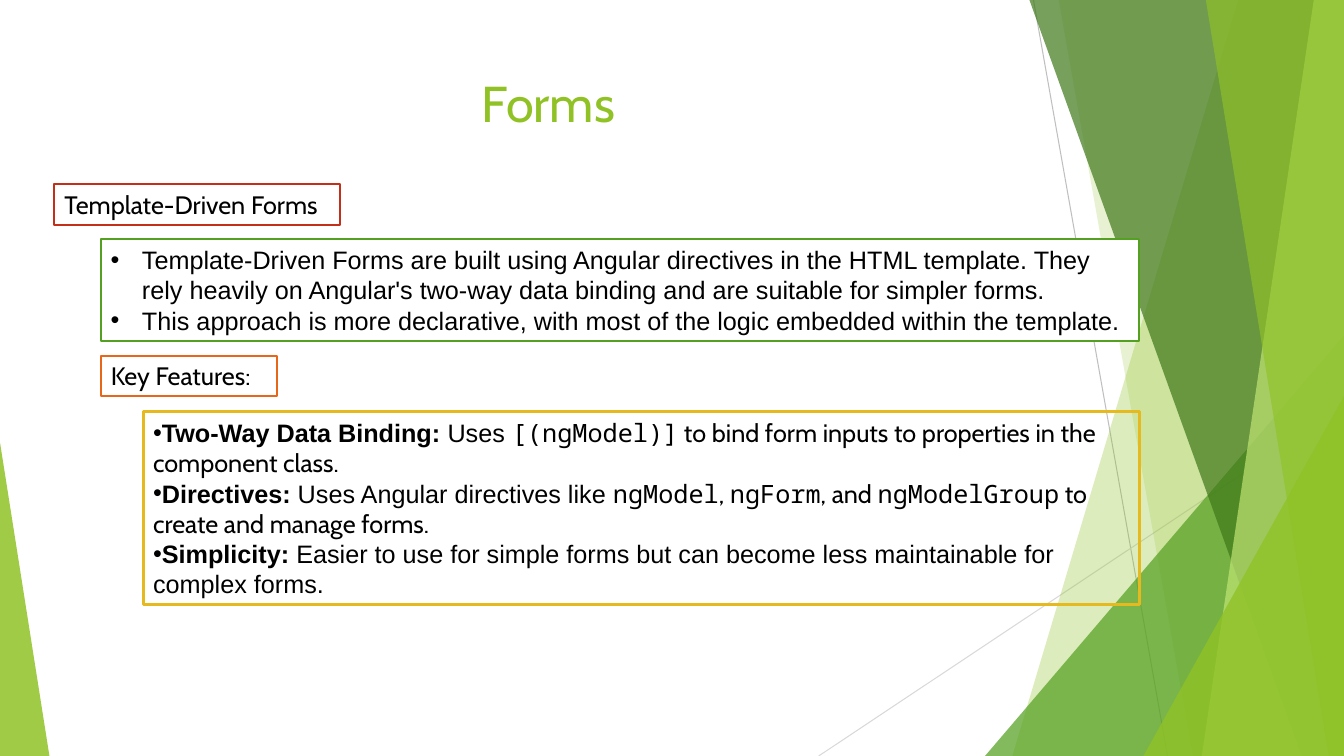
from lxml import etree
from pptx import Presentation
from pptx.dml.color import RGBColor
from pptx.enum.shapes import MSO_CONNECTOR, MSO_SHAPE
from pptx.enum.text import MSO_ANCHOR, PP_ALIGN
from pptx.oxml.ns import qn
from pptx.util import Inches, Pt

STRAIGHT = MSO_CONNECTOR.STRAIGHT
RECTANGLE, TRIANGLE = MSO_SHAPE.RECTANGLE, MSO_SHAPE.ISOSCELES_TRIANGLE
TOP, MIDDLE = MSO_ANCHOR.TOP, MSO_ANCHOR.MIDDLE
LEFT, CENTER = PP_ALIGN.LEFT, PP_ALIGN.CENTER

WIDTH, HEIGHT = 13.33, 7.5
COLORS = {
    "lime": "90C226", "green": "54A021", "forest": "3F7819", "pale": "C0E474",
    "red": "C42F1A", "orange": "E76618", "gold": "E6B91E",
    "white": "FFFFFF", "black": "000000", "gray": "BFBFBF", "silver": "D9D9D9",
}
HEADING, BODY, CODE = "Cabin", "Arial", "Noto Sans Mono"

# Start, end, colour
RAYS = [
    ((10.25, 0), (11.58, HEIGHT), "gray"),
    ((WIDTH, 4.03), (8.12, HEIGHT), "silver"),
]
# Bands reach the right edge: (top x, bottom x, colour, opacity %)
# Corners rise from the bottom edge: (left, top, width, apex, colour, opacity %)
FACETS = [
    (12.28, 10.04, "lime", 30),
    (10.5, 11.83, "lime", 20),
    (9.77, 3.33, 3.56, 1, "green", 72),
    (10.21, 12.91, "forest", 70),
    (13.03, 11.92, "pale", 70),
    (11.96, 13.18, "lime", 65),
    (11.34, 3.93, 1.99, 1, "lime", 80),
    (0, 4.39, 0.49, 0, "lime", 85),
]

TITLE = "Forms"
# Each paragraph is a list of (text, font, bold)
APPROACH = [
    [("Template-Driven Forms are built using Angular directives in the HTML template. "
      "They rely heavily on Angular's two-way data binding and are suitable for "
      "simpler forms.", BODY, False)],
    [("This approach is more declarative, with most of the logic embedded within "
      "the template.", BODY, False)],
]
FEATURES = [
    [("Two-Way Data Binding:", BODY, True), (" Uses ", BODY, False),
     ("[(ngModel)]", CODE, False),
     (" to bind form inputs to properties in the component class.", HEADING, False)],
    [("Directives:", BODY, True), (" Uses Angular directives like ", BODY, False),
     ("ngModel", CODE, False), (", ", HEADING, False),
     ("ngForm", CODE, False), (", and ", HEADING, False),
     ("ngModelGroup", CODE, False), (" to create and manage forms.", HEADING, False)],
    [("Simplicity:", BODY, True),
     (" Easier to use for simple forms but can become less maintainable for "
      "complex forms.", BODY, False)],
]
# Place, fill, outline, outline width, anchor, wrap, bullet indent, paragraphs
PANELS = [
    ((0.54, 1.83, 2.83, 0.4), "white", "red", 1.5, TOP, True, None,
     [[("Template-Driven Forms", HEADING, False)]]),
    ((1, 2.37, 10.3, 1.01), "white", "green", 1.5, MIDDLE, True, 0.31, APPROACH),
    ((1, 3.53, 1.75, 0.4), "white", "orange", 1.5, TOP, False, None,
     [[("Key Features:", HEADING, False)]]),
    ((1.42, 4.08, 9.88, 1.92), None, "gold", 2.25, MIDDLE, True, 0, FEATURES),
]


def color(name):
    return RGBColor.from_string(COLORS[name])


def paint(shape, name, opacity):
    """Give a facet a see-through fill and no outline."""
    shape.shadow.inherit = False
    shape.line.fill.background()
    shape.fill.solid()
    shape.fill.fore_color.rgb = color(name)
    tint = shape.fill._xPr.find(qn("a:solidFill"))[0]
    etree.SubElement(tint, qn("a:alpha")).set("val", str(opacity * 1000))


def add_ray(page, start, end, name):
    ray = page.shapes.add_connector(STRAIGHT, *map(Inches, start + end))
    ray.line.color.rgb = color(name)
    ray.line.width = Pt(0.75)
    etree.SubElement(ray._element.spPr, qn("a:effectLst"))


def add_band(page, top_x, bottom_x, name, opacity):
    builder = page.shapes.build_freeform(Inches(top_x), 0)
    corners = [(WIDTH, 0), (WIDTH, HEIGHT), (bottom_x, HEIGHT)]
    builder.add_line_segments([(Inches(x), Inches(y)) for x, y in corners])
    paint(builder.convert_to_shape(), name, opacity)


def add_corner(page, left, top, width, apex, name, opacity):
    place = (left, top, width, HEIGHT - top)
    corner = page.shapes.add_shape(TRIANGLE, *map(Inches, place))
    corner.adjustments[0] = apex
    paint(corner, name, opacity)


def style(span, font, size, name, bold=False):
    span.font.name = font
    span.font.size = Pt(size)
    span.font.bold = bold
    span.font.color.rgb = color(name)


def add_bullet(para, indent):
    props = para._p.get_or_add_pPr()
    props.set("marL", str(Inches(indent)))
    props.set("indent", str(-Inches(indent)))
    etree.SubElement(props, qn("a:buFont")).set("typeface", BODY)
    etree.SubElement(props, qn("a:buChar")).set("char", "•")


def add_title(page):
    box = page.shapes.add_textbox(*map(Inches, (0.74, 0.67, 9.4, 0.79)))
    box.text_frame.word_wrap = True
    box.text_frame.text = TITLE
    para = box.text_frame.paragraphs[0]
    para.alignment = CENTER
    style(para.runs[0], HEADING, 36, "lime")


def add_panel(page, place, fill, outline, weight, anchor, wrap, indent, paragraphs):
    panel = page.shapes.add_shape(RECTANGLE, *map(Inches, place))
    panel.shadow.inherit = False
    if fill:
        panel.fill.solid()
        panel.fill.fore_color.rgb = color(fill)
    else:
        panel.fill.background()
    panel.line.color.rgb = color(outline)
    panel.line.width = Pt(weight)
    frame = panel.text_frame
    frame.word_wrap = wrap
    frame.vertical_anchor = anchor
    for index, parts in enumerate(paragraphs):
        para = frame.add_paragraph() if index else frame.paragraphs[0]
        para.alignment = LEFT
        if indent is not None:
            add_bullet(para, indent)
        for text, font, bold in parts:
            span = para.add_run()
            span.text = text
            style(span, font, 18, "black", bold)


def main():
    deck = Presentation()
    deck.slide_width, deck.slide_height = Inches(WIDTH), Inches(HEIGHT)
    page = deck.slides.add_slide(deck.slide_layouts[6])
    for ray in RAYS:
        add_ray(page, *ray)
    for facet in FACETS:
        add_facet = add_band if len(facet) == 4 else add_corner
        add_facet(page, *facet)
    add_title(page)
    for panel in PANELS:
        add_panel(page, *panel)
    deck.save("out.pptx")


if __name__ == "__main__":
    main()
